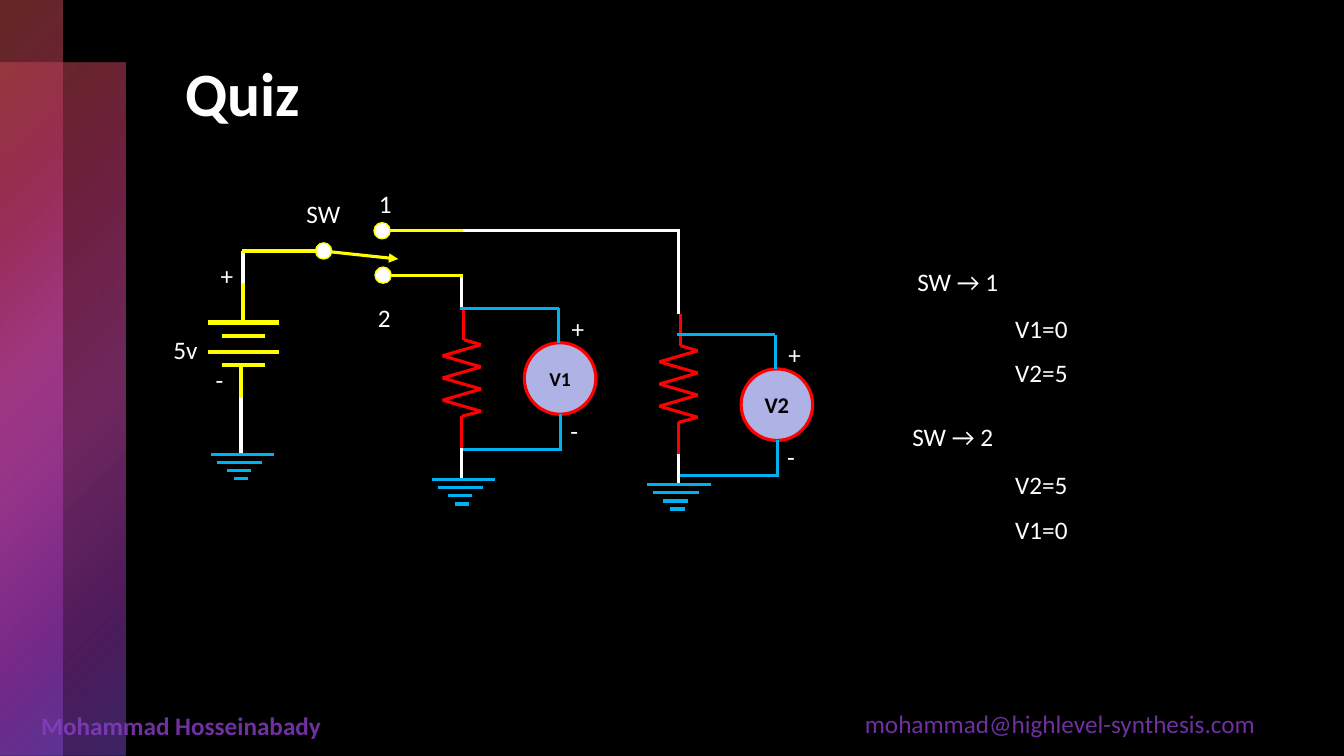
"""Build the quiz slide with a two-way switch circuit."""
from dataclasses import dataclass
from itertools import pairwise

from pptx import Presentation
from pptx import util as u
from pptx.dml.color import RGBColor
from pptx.enum import shapes, text
from pptx.oxml import ns, parse_xml


@dataclass(frozen=True)
class Theme:
    font: str = "Calibri"
    black: str = "000000"
    white: str = "FFFFFF"
    yellow: str = "FFFF00"
    red: str = "FF0000"
    blue: str = "00B0F0"
    lilac: str = "AFB2E5"
    purple: str = "7030A0"
    title: int = 44
    body: int = 18
    thin: float = 1
    wire: float = 2.25
    thick: float = 3
    bands: tuple = (("C84E48", 50), ("B63665", 60), ("C848AC", 55),
                    ("9C36B6", 50), ("7948C8", 50))


class Board:
    def __init__(self, deck, theme):
        self.theme = theme
        self.slide = deck.slides.add_slide(deck.slide_layouts[6])
        self.shapes = self.slide.shapes
        fill = self.slide.background.fill
        fill.solid()
        fill.fore_color.rgb = RGBColor.from_string(theme.black)

    def letter(self, frame, words, size, color, bold=False):
        para = frame.paragraphs[0]
        para.text = words
        para.font.name = self.theme.font
        para.font.size = u.Pt(size)
        para.font.bold = bold
        para.font.color.rgb = RGBColor.from_string(color)
        return para

    def label(self, words, x, y, w=0.35, h=0.4, size=None, color=None,
              bold=False, wrap=False):
        box = self.shapes.add_textbox(*map(u.Inches, (x, y, w, h)))
        box.text_frame.word_wrap = wrap
        self.letter(box.text_frame, words, size or self.theme.body,
                    color or self.theme.white, bold)

    def line(self, x1, y1, x2, y2, color, width=None, arrow=False, group=None):
        home = group.shapes if group else self.shapes
        wire = home.add_connector(shapes.MSO_CONNECTOR.STRAIGHT,
                                  *map(u.Inches, (x1, y1, x2, y2)))
        wire.line.color.rgb = RGBColor.from_string(color)
        wire.line.width = u.Pt(width or self.theme.wire)
        if arrow:
            wire.line._get_or_add_ln().append(
                parse_xml(f'<a:tailEnd {ns.nsdecls("a")} type="triangle"/>'))
        wire._element.spPr.append(parse_xml(f'<a:effectLst {ns.nsdecls("a")}/>'))

    def disc(self, x, y, size, fill, edge, width):
        disc = self.shapes.add_shape(shapes.MSO_SHAPE.OVAL,
                                     *map(u.Inches, (x, y, size, size)))
        disc.shadow.inherit = False
        disc.fill.solid()
        disc.fill.fore_color.rgb = RGBColor.from_string(fill)
        disc.line.color.rgb = RGBColor.from_string(edge)
        disc.line.width = u.Pt(width)
        return disc

    def band(self, x, y, w, h, places):
        band = self.shapes.add_shape(shapes.MSO_SHAPE.RECTANGLE,
                                     *map(u.Inches, (x, y, w, h)))
        band.shadow.inherit = False
        band.line.fill.background()
        stops = "".join(
            f'<a:gs pos="{place * 1000}"><a:srgbClr val="{color}">'
            f'<a:alpha val="{alpha * 1000}"/></a:srgbClr></a:gs>'
            for place, (color, alpha) in zip(places, self.theme.bands))
        band._element.spPr.insert(2, parse_xml(
            f'<a:gradFill {ns.nsdecls("a")}><a:gsLst>{stops}</a:gsLst>'
            '<a:path path="circle"><a:fillToRect r="100000" b="100000"/>'
            '</a:path></a:gradFill>'))

    def coil(self, x, y):
        group = self.shapes.add_group_shape()
        zigs = [(0.19 * (-1) ** i, 1.02 - 0.11 * i) for i in range(7)]
        spots = [(0, 1.38), (0, 1.07), *zigs, (0.02, 0.31), (0.02, 0)]
        for (x1, y1), (x2, y2) in pairwise(spots):
            self.line(x + x1, y + y1, x + x2, y + y2, self.theme.red,
                      group=group)

    def ground(self, x, y):
        group = self.shapes.add_group_shape()
        bars = (0, 0.63), (0.06, 0.51), (0.16, 0.4), (0.23, 0.37)
        for i, (left, right) in enumerate(bars):
            level = y + 0.08 * i
            self.line(x + left, level, x + right, level, self.theme.blue,
                      group=group)

    def meter(self, name, x, y, size):
        theme = self.theme
        disc = self.disc(x, y, 0.71, theme.lilac, theme.red, theme.wire)
        frame = disc.text_frame
        frame.vertical_anchor = text.MSO_ANCHOR.MIDDLE
        para = self.letter(frame, name, size, theme.black, True)
        para.alignment = text.PP_ALIGN.CENTER
        self.label("+", x + 0.37, y - 0.34)
        self.label("-", x + 0.36, y + 0.67, 0.3)
        for x1, y1, x2, y2 in ((0.34, 0, 0.34, -0.34), (0.36, 1.07, 0.36, 0.71),
                               (-0.64, -0.34, 0.34, -0.34),
                               (-0.61, 1.06, 0.36, 1.06)):
            self.line(x + x1, y + y1, x + x2, y + y2, theme.blue)


def main():
    deck = Presentation()
    deck.slide_width, deck.slide_height = u.Inches(13.33), u.Inches(7.5)
    theme = Theme()
    board = Board(deck, theme)

    board.label("mohammad@highlevel-synthesis.com", 8.48, 6.98, 4.6,
                color=theme.purple, wrap=True)
    board.label("Mohammad Hosseinabady", 0.31, 7, 4.6, color=theme.purple,
                bold=True, wrap=True)
    board.band(0, 0.62, 1.24, 6.88, (0, 25, 55, 81, 99))
    board.band(0, 0, 0.62, 7.5, (0, 25, 49, 81, 99))
    board.label("Quiz", 1.74, 0.5, 10.37, 1.7, theme.title, bold=True, wrap=True)

    board.coil(4.58, 3.06)
    for left, right, y in ((2.06, 2.77, 3.2), (2.2, 2.63, 3.33),
                           (2.06, 2.77, 3.49), (2.2, 2.63, 3.62)):
        board.line(left, y, right, y, theme.yellow, theme.thick)
    for x, top, low in (2.41, 2.81, 3.2), (2.39, 3.62, 3.98):
        board.line(x, top, x, low, theme.yellow, theme.thick)
    for x, top, low in ((4.58, 2.75, 3.06), (4.58, 4.44, 4.75),
                        (2.39, 3.95, 4.5), (2.41, 2.49, 2.81)):
        board.line(x, top, x, low, theme.white)

    for left, right, y in (2.4, 3.2, 2.49), (3.79, 4.59, 2.29), (3.8, 4.59, 2.73):
        board.line(left, y, right, y, theme.yellow)
    board.line(3.2, 2.49, 3.95, 2.57, theme.yellow, arrow=True)
    for x, y in (3.13, 2.41), (3.71, 2.21), (3.72, 2.65):
        board.disc(x, y, 0.16, theme.white, theme.yellow, theme.thin)

    board.coil(6.73, 3.12)
    for top, low in (2.81, 3.12), (4.5, 4.81), (2.29, 2.88):
        board.line(6.73, top, 6.73, low, theme.white)
    board.line(4.59, 2.29, 6.74, 2.29, theme.white)
    for x, y in (6.42, 4.81), (4.28, 4.76), (2.09, 4.51):
        board.ground(x, y)
    board.meter("V1", 5.2, 3.4, 14)
    board.meter("V2", 7.35, 3.66, 16)

    for words, x, y, w in (
            ("+", 2.09, 2.53, 0.35), ("-", 2.04, 3.57, 0.3),
            ("5v", 1.62, 3.27, 0.48), ("SW", 2.94, 1.92, 0.62),
            ("1", 3.66, 1.82, 0.3), ("2", 3.65, 2.95, 0.35),
            ("SW → 1", 9, 2.59, 1.16), ("V1=0", 9.97, 3.06, 0.79),
            ("V2=5", 9.97, 3.5, 0.82), ("SW → 2", 8.95, 4.13, 1.21),
            ("V2=5", 9.97, 4.61, 0.84), ("V1=0", 9.97, 5.05, 0.79)):
        board.label(words, x, y, w)
    deck.save("out.pptx")


if __name__ == "__main__":
    main()
